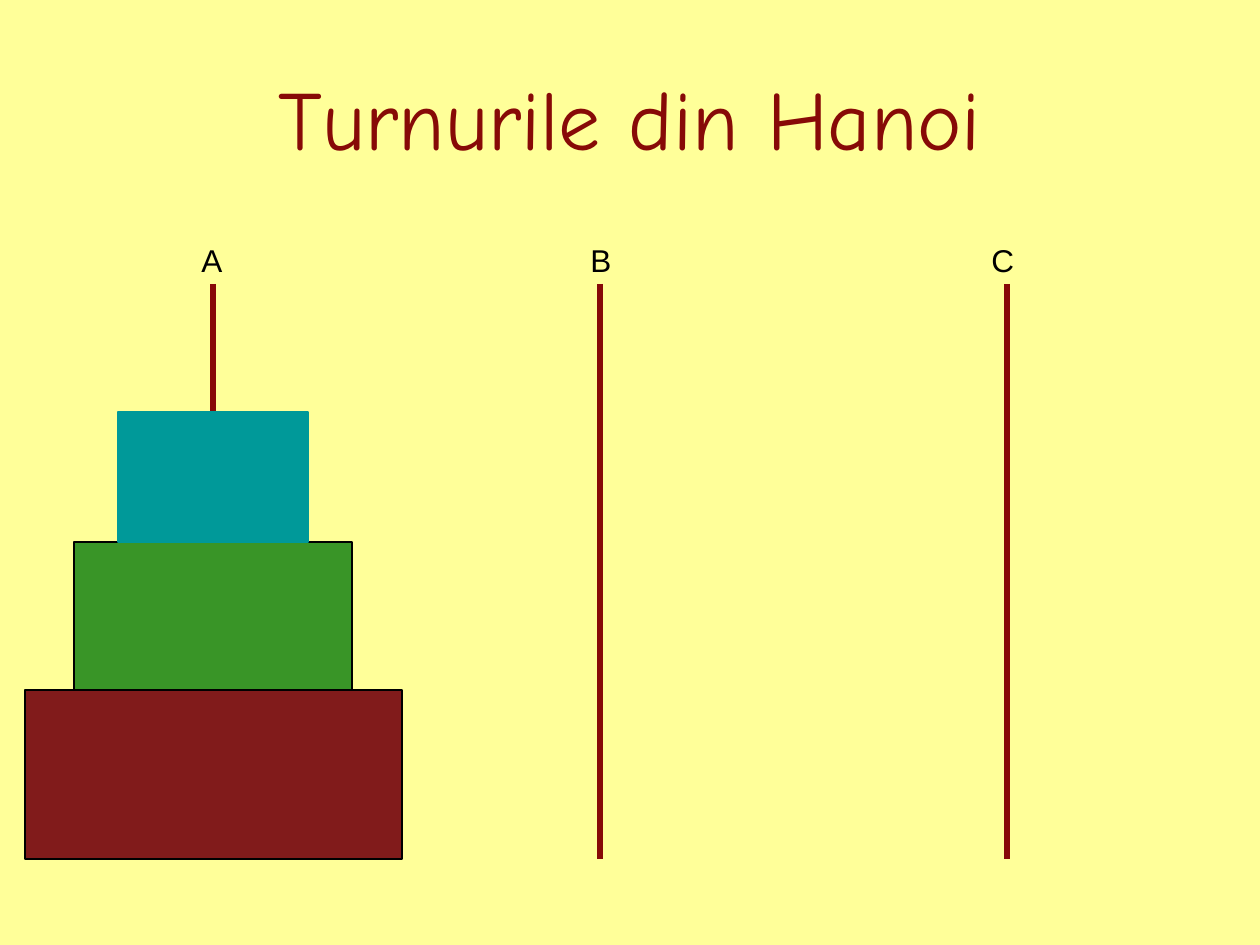
"""Build the Towers of Hanoi slide with three pegs and a stack of discs."""
from dataclasses import dataclass

from pptx import Presentation
from pptx.dml.color import RGBColor
from pptx.enum.shapes import MSO_CONNECTOR as Connector, MSO_SHAPE as Shape
from pptx.enum.text import MSO_ANCHOR as Anchor, PP_ALIGN as Align
from pptx.oxml.ns import qn
from pptx.util import Pt
from lxml.etree import SubElement


@dataclass(frozen=True)
class Theme:
    background: str = "FFFF99"
    peg: str = "870A07"
    ink: str = "000000"
    large: str = "811B1B"
    medium: str = "399527"
    small: str = "009999"
    title_font: str = "Comic Neue"
    label_font: str = "Arial"
    title_size: int = 48
    label_size: int = 18
    peg_width: float = 3
    outline: float = 0.75


def px(*lengths):
    return [length * 914400 // 126 for length in lengths]


def write(frame, text, font, size, color, align):
    frame.word_wrap = True
    para = frame.paragraphs[0]
    para.alignment = align
    span = para.add_run()
    span.text = text
    span.font.name = font
    span.font.size = Pt(size)
    span.font.color.rgb = RGBColor.from_string(color)


theme = Theme()
deck = Presentation()
deck.slide_width, deck.slide_height = px(1260, 945)
page = deck.slides.add_slide(deck.slide_layouts[6])
page.background.fill.solid()
page.background.fill.fore_color.rgb = RGBColor.from_string(theme.background)

title = page.shapes.add_textbox(*px(63, 38, 1134, 157))
title.text_frame.vertical_anchor = Anchor.MIDDLE
write(title.text_frame, "Turnurile din Hanoi", theme.title_font, theme.title_size, theme.peg, Align.CENTER)

peg_top, base = 284, 859
pegs = [("A", 213, 189), ("B", 600, 578), ("C", 1007, 979)]
for name, center, label_left in pegs:
    peg = page.shapes.add_connector(Connector.STRAIGHT, *px(center, peg_top, center, base))
    peg.line.color.rgb = RGBColor.from_string(theme.peg)
    peg.line.width = Pt(theme.peg_width)
    SubElement(peg._element.spPr, qn("a:effectLst"))
    label = page.shapes.add_textbox(*px(label_left, 235, 49, 50))
    write(label.text_frame, name, theme.label_font, theme.label_size, theme.ink, Align.LEFT)

bottom = base
discs = [
    (377, 169, theme.large, theme.ink),
    (278, 148, theme.medium, theme.ink),
    (190, 130, theme.small, theme.small),
]
for width, height, fill, outline in discs:
    bottom -= height
    disc = page.shapes.add_shape(Shape.RECTANGLE, *px(pegs[0][1] - width // 2, bottom, width, height))
    disc.shadow.inherit = False
    disc.fill.solid()
    disc.fill.fore_color.rgb = RGBColor.from_string(fill)
    disc.line.color.rgb = RGBColor.from_string(outline)
    disc.line.width = Pt(theme.outline)

deck.save("out.pptx")
